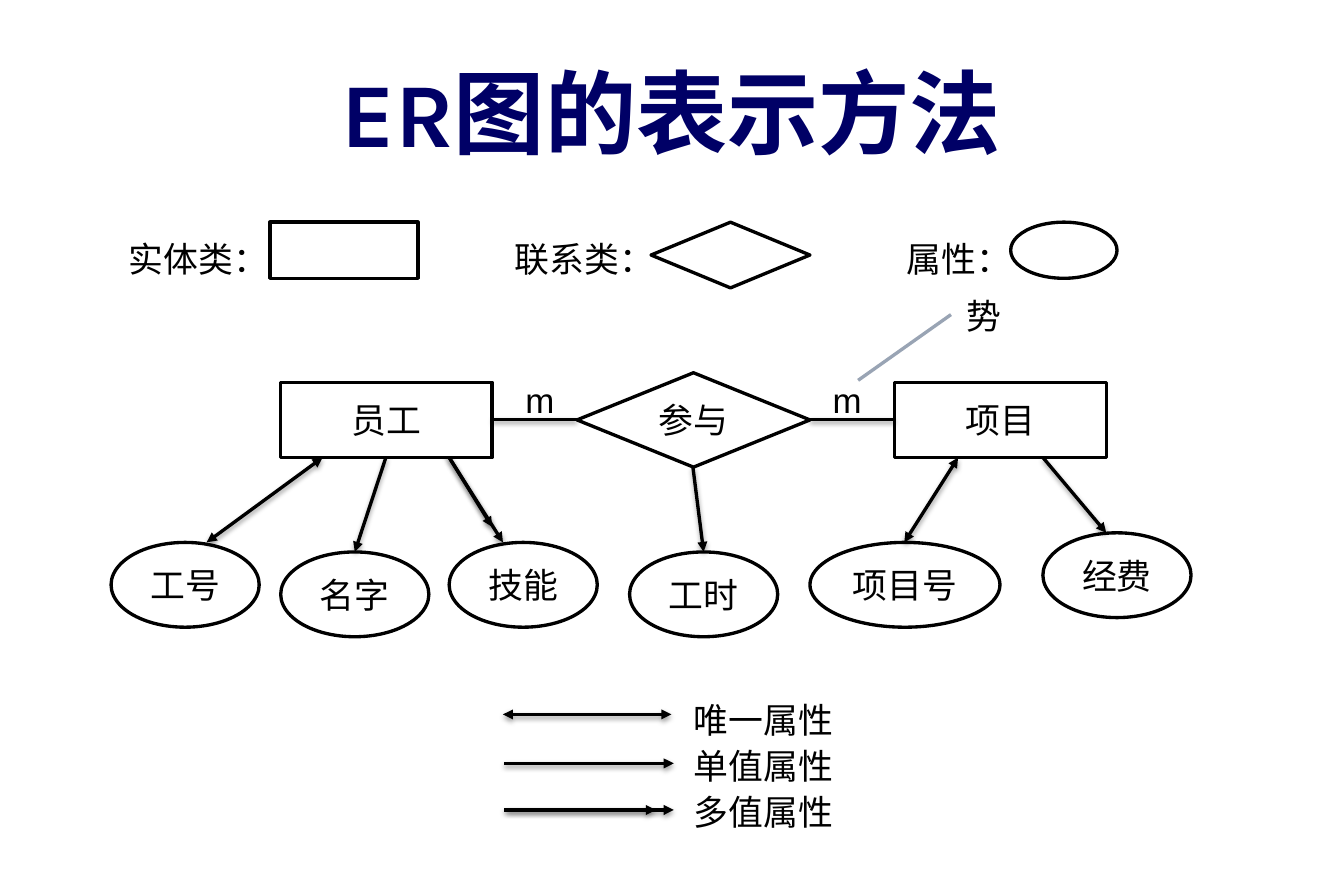
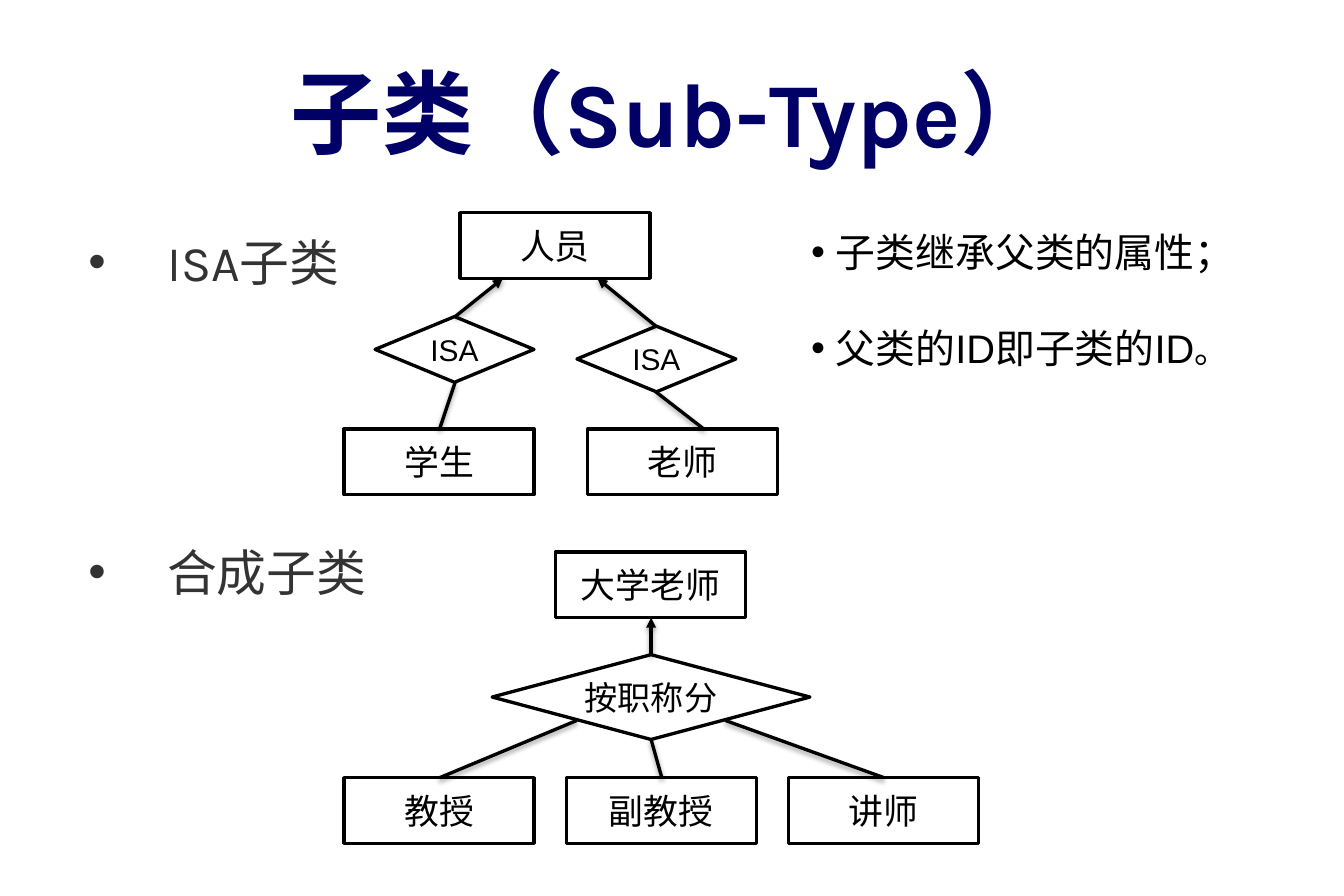
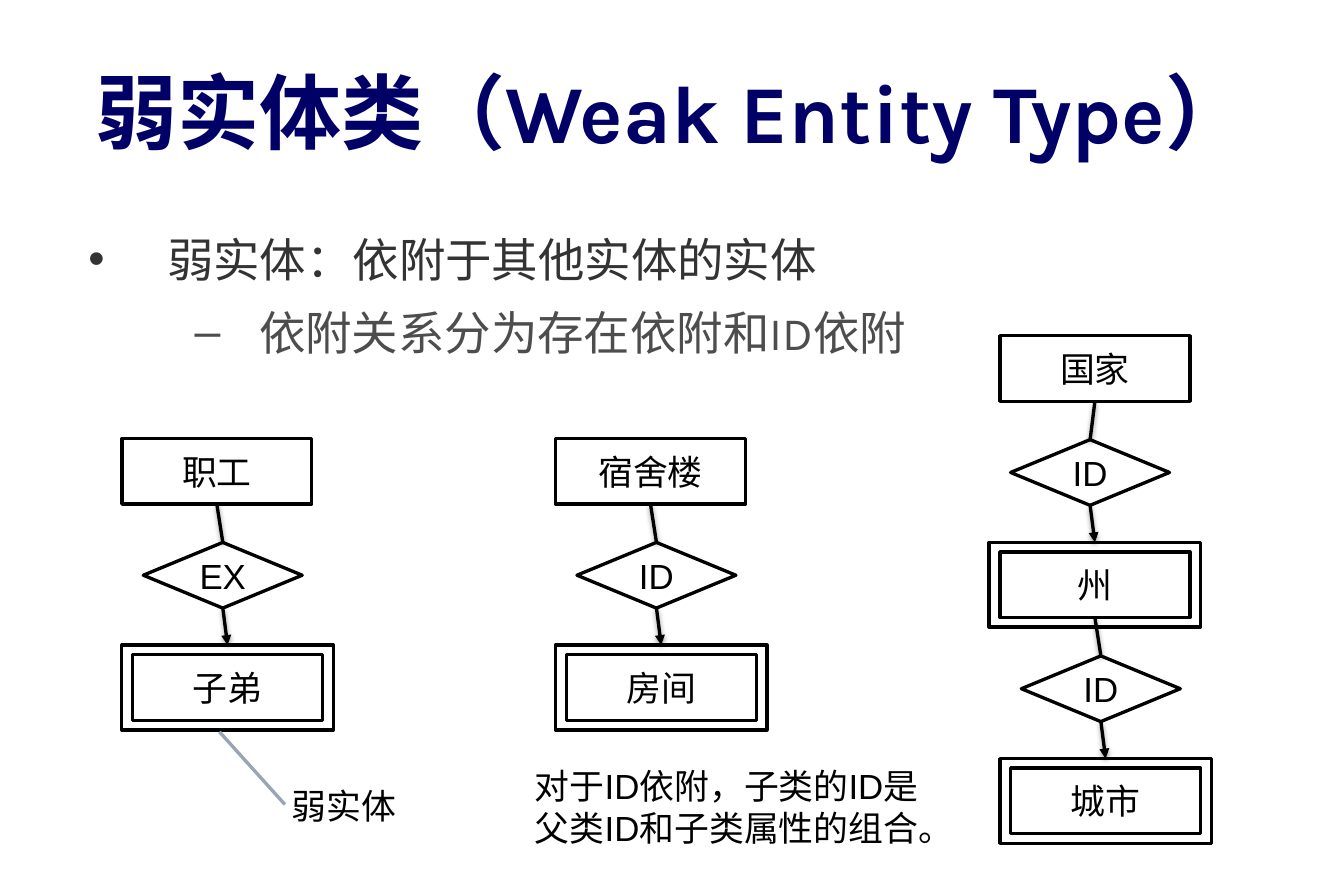
"""Build three slides on ER diagrams: notation, sub-types and weak entity types."""
import pptx
import pptx.util
import pptx.dml.color
import pptx.enum.shapes
import pptx.enum.text
import pptx.oxml
import pptx.oxml.ns
import lxml.etree

Inches, Pt = pptx.util.Inches, pptx.util.Pt
SHAPE = pptx.enum.shapes.MSO_SHAPE
ALIGN = pptx.enum.text.PP_ALIGN
ANCHOR = pptx.enum.text.MSO_ANCHOR
qn = pptx.oxml.ns.qn

COLORS = {"ink": "000000", "paper": "FFFFFF", "title": "000066",
          "body": "333333", "detail": "4D4D4D", "callout": "99A4B4"}
TITLE_FONT, LABEL_FONT = "Karla", "Arial"
LABEL_SIZE, LINE_WIDTH = 21, 2
TITLE_BOX, BODY_BOX = (0.56, 0.3, 10.12, 1.25), (0.56, 1.75, 10.12, 5.04)
BOX_W, BOX_H = 1.59, 0.55
DIAMOND_W = 1.33
WEAK_W, WEAK_H = 1.77, 0.71

NOTATION = [
    ("实体类：", 0.98, 1.38, SHAPE.RECTANGLE, (2.26, 1.86, 1.24, 0.47)),
    ("联系类：", 4.21, 1.38, SHAPE.DIAMOND, (5.45, 1.86, 1.33, 0.55)),
    ("属性：", 7.49, 1.09, SHAPE.OVAL, (8.46, 1.86, 0.89, 0.47)),
]
PARTICIPANTS = [
    ("员工", SHAPE.RECTANGLE, (2.35, 3.2, 1.77, 0.63)),
    ("项目", SHAPE.RECTANGLE, (7.49, 3.2, 1.77, 0.63)),
    ("参与", SHAPE.DIAMOND, (4.83, 3.12, 1.95, 0.79)),
]
ATTRIBUTES = [
    ("工号", 0.93, 4.54, 1.24, 1.73, (2.7, 3.83), True),
    ("名字", 2.35, 4.62, 1.24, 2.97, (3.23, 3.83), False),
    ("技能", 3.76, 4.54, 1.24, 4.21, (3.76, 3.83), False),
    ("项目号", 6.78, 4.54, 1.59, 7.57, (8.02, 3.83), True),
    ("经费", 8.73, 4.46, 1.24, 9.26, (8.73, 3.83), False),
    ("工时", 5.27, 4.62, 1.24, 5.89, (5.8, 3.91), False),
]
CARDINALITIES = [("m", 4.3, 4.12, 4.83), ("m", 6.87, 6.78, 7.49)]
LEGEND = [
    ("唯一属性", 5.8, 5.98, [(4.21, 5.62)], True),
    ("单值属性", 6.18, 6.39, [(4.22, 5.64)], False),
    ("多值属性", 6.57, 6.78, [(4.22, 5.64), (4.25, 5.49)], False),
]

SUBTYPE_ENTITIES = [
    ("人员", 3.85, 1.78), ("学生", 2.88, 3.59), ("老师", 4.92, 3.59),
    ("大学老师", 4.65, 4.62),
    ("教授", 2.88, 6.51), ("副教授", 4.74, 6.51), ("讲师", 6.6, 6.51),
]
SUBTYPE_RELATIONS = [
    ("ISA", (3.14, 2.65, DIAMOND_W, BOX_H), 18),
    ("ISA", (4.83, 2.73, DIAMOND_W, BOX_H), 18),
    ("按职称分", (4.12, 5.48, 2.66, 0.71), 20),
]
SUBTYPE_ARROWS = [((3.81, 2.65), (4.21, 2.33)), ((5.49, 2.73), (5, 2.33)),
                  ((5.45, 5.48), (5.45, 5.17))]
SUBTYPE_LINES = [((3.81, 3.2), (3.68, 3.59)), ((5.49, 3.28), (5.89, 3.59)),
                 ((4.83, 6.03), (3.68, 6.51)), ((5.45, 6.19), (5.54, 6.51)),
                 ((6.07, 6.03), (7.4, 6.51))]

DEPENDENCIES = [
    ("职工", 1.02, 3.67, "EX", 1.2, "子弟", 1.02),
    ("宿舍楼", 4.65, 3.67, "ID", 4.83, "房间", 4.65),
    ("国家", 8.37, 2.81, "ID", 8.46, "州", 8.28),
    (None, 8.37, 4.62, "ID", 8.55, "城市", 8.37),
]


def rgb(name):
    return pptx.dml.color.RGBColor.from_string(COLORS[name])


def add_run(paragraph, text, size, font=LABEL_FONT, color="ink", bold=False):
    run = paragraph.add_run()
    run.text = text
    run.font.size, run.font.name, run.font.bold = Pt(size), font, bold
    run.font.color.rgb = rgb(color)
    east_asian = lxml.etree.SubElement(run.font._element, qn("a:ea"))
    east_asian.set("typeface", font)


def set_bullet(paragraph, mark, left=0.0, hanging=0.0):
    properties = paragraph._p.get_or_add_pPr()
    properties.set("marL", str(Inches(left)))
    properties.set("indent", str(-Inches(hanging)))
    lxml.etree.SubElement(properties, qn("a:buFont")).set("typeface", LABEL_FONT)
    lxml.etree.SubElement(properties, qn("a:buChar")).set("char", mark)


def add_text_frame(slide, box, wrap=False, margins=None):
    frame = slide.shapes.add_textbox(*map(Inches, box)).text_frame
    frame.word_wrap = wrap
    if margins:
        frame.margin_left = frame.margin_right = Inches(margins[0])
        frame.margin_top = frame.margin_bottom = Inches(margins[1])
    return frame


def add_label(slide, text, left, top, width):
    frame = add_text_frame(slide, (left, top, width, 0.45))
    add_run(frame.paragraphs[0], text, LABEL_SIZE)


def add_title(slide, text, size=55):
    frame = add_text_frame(slide, TITLE_BOX, True, (0.18, 0.09))
    frame.vertical_anchor = ANCHOR.MIDDLE
    frame.paragraphs[0].alignment = ALIGN.CENTER
    add_run(frame.paragraphs[0], text, size, TITLE_FONT, "title", True)


def add_body(slide, items, size):
    frame = add_text_frame(slide, BODY_BOX, True, (0.18, 0.09))
    for index, (text, level, before) in enumerate(items):
        paragraph = frame.add_paragraph() if index else frame.paragraphs[0]
        paragraph.line_spacing = 1.2
        paragraph.space_before, paragraph.space_after = Pt(before), Pt(3.5)
        mark, left, hanging, color = [("•", 0.66, 0.66, "body"),
                                      ("–", 1.43, 0.54, "detail")][level]
        set_bullet(paragraph, mark, left, hanging)
        add_run(paragraph, text, size, TITLE_FONT, color)


def add_node(slide, kind, box, text="", size=LABEL_SIZE, line="ink", filled=True):
    node = slide.shapes.add_shape(kind, *map(Inches, box))
    node.shadow.inherit = False
    if filled:
        node.fill.solid()
        node.fill.fore_color.rgb = rgb("paper")
    else:
        node.fill.background()
    node.line.color.rgb = rgb(line)
    node.line.width = Pt(LINE_WIDTH)
    if text:
        node.text_frame.vertical_anchor = ANCHOR.MIDDLE
        node.text_frame.paragraphs[0].alignment = ALIGN.CENTER
        add_run(node.text_frame.paragraphs[0], text, size)
    return node


def add_callout(slide, text, box, adjustments):
    callout = add_node(slide, SHAPE.LINE_CALLOUT_1_NO_BORDER, box, text, line="callout")
    for index, value in enumerate(adjustments):
        callout.adjustments[index] = value


def add_link(slide, start, end, start_arrow=False, end_arrow=False):
    link = slide.shapes.add_connector(pptx.enum.shapes.MSO_CONNECTOR.STRAIGHT,
                                      *map(Inches, start + end))
    link.line.color.rgb = rgb("ink")
    link.line.width = Pt(LINE_WIDTH)
    outline = link.line._get_or_add_ln()
    for tag, wanted in (("a:headEnd", start_arrow), ("a:tailEnd", end_arrow)):
        if wanted:
            lxml.etree.SubElement(outline, qn(tag)).set("type", "triangle")
    effects = lxml.etree.SubElement(link._element.spPr, qn("a:effectLst"))
    shadow = lxml.etree.SubElement(effects, qn("a:outerShdw"), blurRad=str(Pt(3.1)),
                                   dist=str(Pt(1.6)), dir="5400000", rotWithShape="0")
    tint = lxml.etree.SubElement(shadow, qn("a:srgbClr"), val=COLORS["ink"])
    lxml.etree.SubElement(tint, qn("a:alpha"), val="38000")


def build_notation(slide):
    add_link(slide, (4.12, 4.41), (3.68, 3.7), start_arrow=True)
    add_title(slide, "ER图的表示方法")
    for text, kind, box in PARTICIPANTS:
        add_node(slide, kind, box, text)
    for text, left, top, width, tip, owner, unique in ATTRIBUTES:
        add_node(slide, SHAPE.OVAL, (left, top, width, 0.71), text)
        add_link(slide, (tip, top), owner, True, unique)
    for text, left, start, end in CARDINALITIES:
        add_link(slide, (start, 3.51), (end, 3.51))
        add_label(slide, text, left, 3.12, 0.45)
    for text, left, width, kind, box in NOTATION:
        add_label(slide, text, left, 1.94, width)
        add_node(slide, kind, box)
    for text, top, line_y, spans, unique in LEGEND:
        for start, end in spans:
            add_link(slide, (start, line_y), (end, line_y), unique, True)
        add_label(slide, text, 5.71, top, 1.38)
    add_callout(slide, "势", (7.84, 2.41, 0.8, 0.47), (0.477, 0.151, 1.647, -0.821))


def build_subtypes(slide):
    add_title(slide, "子类（Sub-Type）")
    add_body(slide, [("ISA子类", 0, 0), ("合成子类", 0, 140)], 30)
    for text, left, top in SUBTYPE_ENTITIES:
        add_node(slide, SHAPE.RECTANGLE, (left, top, BOX_W, BOX_H), text)
    for text, box, size in SUBTYPE_RELATIONS:
        add_node(slide, SHAPE.DIAMOND, box, text, size)
    for start, end in SUBTYPE_ARROWS:
        add_link(slide, start, end, end_arrow=True)
    for start, end in SUBTYPE_LINES:
        add_link(slide, start, end)
    rules = add_text_frame(slide, (6.69, 1.86, 3.78, 1.31), True)
    inherit, identity = rules.paragraphs[0], rules.add_paragraph()
    identity.line_spacing = 2.0
    for paragraph, text in ((inherit, " 子类继承父类的属性；"),
                            (identity, " 父类的ID即子类的ID")):
        set_bullet(paragraph, "•")
        add_run(paragraph, text, 24)
    add_run(identity, "。", LABEL_SIZE)


def build_weak_entities(slide):
    add_title(slide, "弱实体类（Weak Entity Type）", 49.5)
    add_body(slide, [("弱实体：依附于其他实体的实体", 0, 0),
                     ("依附关系分为存在依附和ID依附", 1, 0)], 28)
    for owner, left, top, relation, relation_left, weak, weak_left in DEPENDENCIES:
        relation_top, weak_top = top + 0.87, top + 1.73
        owner_x, relation_x = left + BOX_W / 2, relation_left + DIAMOND_W / 2
        if owner:
            add_node(slide, SHAPE.RECTANGLE, (left, top, BOX_W, BOX_H), owner)
        add_node(slide, SHAPE.RECTANGLE, (weak_left, weak_top, WEAK_W, WEAK_H), weak)
        inner = (weak_left + (WEAK_W - BOX_W) / 2, weak_top + (WEAK_H - BOX_H) / 2,
                 BOX_W, BOX_H)
        add_node(slide, SHAPE.RECTANGLE, inner, filled=False)
        add_node(slide, SHAPE.DIAMOND, (relation_left, relation_top, DIAMOND_W, BOX_H),
                 relation)
        add_link(slide, (owner_x, top + BOX_H), (relation_x, relation_top))
        add_link(slide, (relation_x, relation_top + BOX_H),
                 (weak_left + WEAK_W / 2, weak_top), end_arrow=True)
    add_callout(slide, "弱实体", (2.17, 6.51, 1.42, 0.47), (0.477, 0.151, -0.817, -0.235))
    note = add_text_frame(slide, (4.38, 6.35, 3.74, 0.81)).paragraphs[0]
    add_run(note, "对于ID依附，子类的ID是", LABEL_SIZE)
    note.add_line_break()
    add_run(note, "父类ID和子类属性的组合。", LABEL_SIZE)


def main():
    deck = pptx.Presentation()
    deck.slide_width, deck.slide_height = Inches(11.25), Inches(7.5)
    for build in (build_notation, build_subtypes, build_weak_entities):
        build(deck.slides.add_slide(deck.slide_layouts[6]))
    deck.save("out.pptx")


if __name__ == "__main__":
    main()
